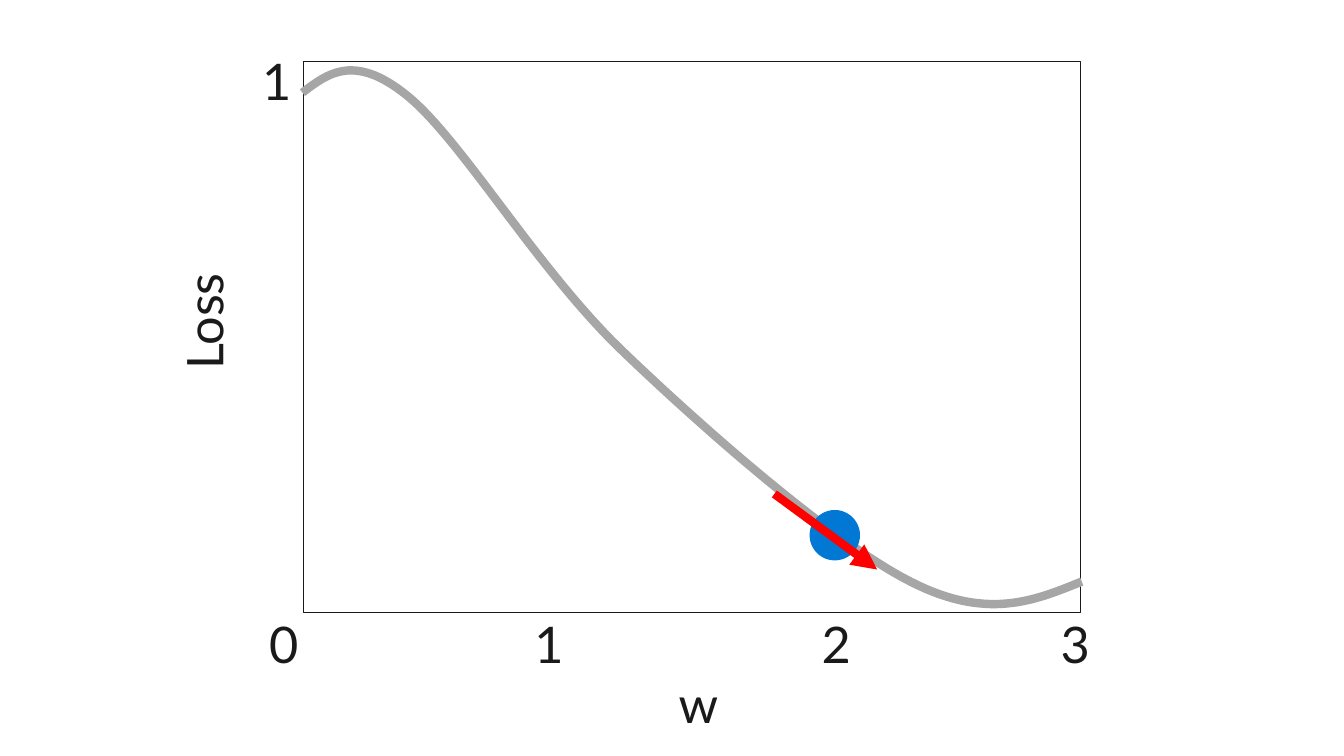
"""Draw a loss curve over one weight, with a downhill gradient step."""
from dataclasses import dataclass

from lxml import etree
from pptx import Presentation
from pptx.dml.color import RGBColor
from pptx.enum.shapes import MSO_CONNECTOR, MSO_SHAPE
from pptx.enum.text import MSO_AUTO_SIZE
from pptx.oxml.ns import qn
from pptx.shapes.autoshape import Shape
from pptx.slide import Slide
from pptx.util import Inches, Pt

RECTANGLE = MSO_SHAPE.RECTANGLE
OVAL = MSO_SHAPE.OVAL
STRAIGHT = MSO_CONNECTOR.STRAIGHT
NO_AUTOFIT = MSO_AUTO_SIZE.NONE

Point = tuple[float, float]


@dataclass(frozen=True)
class Theme:
    font: str = "Lato"
    text_size: float = 36
    frame_width: float = 0.85
    heavy_width: float = 6
    ink: RGBColor = RGBColor(0x1A, 0x1A, 0x1A)
    paper: RGBColor = RGBColor(0xFF, 0xFF, 0xFF)
    curve: RGBColor = RGBColor(0xA6, 0xA6, 0xA6)
    marker: RGBColor = RGBColor(0x00, 0x78, 0xD4)
    gradient: RGBColor = RGBColor(0xFF, 0x00, 0x00)


@dataclass(frozen=True)
class Label:
    text: str
    left: float
    top: float
    width: float = 0.27
    rotation: float = 0


@dataclass(frozen=True)
class Bezier:
    start: Point
    first_control: Point
    second_control: Point
    end: Point

    def at(self, t: float) -> Point:
        weights = ((1 - t) ** 3, 3 * t * (1 - t) ** 2, 3 * t**2 * (1 - t), t**3)
        points = (self.start, self.first_control, self.second_control, self.end)
        return (
            sum(weight * x for weight, (x, _) in zip(weights, points)),
            sum(weight * y for weight, (_, y) in zip(weights, points)),
        )


THEME = Theme()
LABEL_HEIGHT = 0.61
TICK_TOP = 6.08
STEPS_PER_BEZIER = 30
LABELS = (
    Label("1", 2.6, 0.5),
    Label("0", 2.67, TICK_TOP),
    Label("1", 5.3, TICK_TOP),
    Label("2", 8.15, TICK_TOP),
    Label("3", 10.52, TICK_TOP),
    Label("Loss", 1.54, 2.88, width=0.96, rotation=270),
    Label("w", 6.73, 6.68, width=0.39),
)
LOSS_CURVE = (
    Bezier((3, 0.92), (3.26, 0.72), (3.52, 0.53), (4.04, 0.95)),
    Bezier((4.04, 0.95), (4.57, 1.38), (5.31, 2.64), (6.14, 3.45)),
    Bezier((6.14, 3.45), (6.97, 4.25), (8.26, 5.38), (9.03, 5.77)),
    Bezier((9.03, 5.77), (9.79, 6.16), (10.26, 5.96), (10.73, 5.77)),
)


def add_filled_shape(
    slide: Slide, kind: MSO_SHAPE, box: tuple[float, ...], color: RGBColor
) -> Shape:
    shape = slide.shapes.add_shape(kind, *map(Inches, box))
    shape.shadow.inherit = False
    shape.fill.solid()
    shape.fill.fore_color.rgb = color
    return shape


def add_plot_frame(slide: Slide) -> None:
    frame = add_filled_shape(slide, RECTANGLE, (3.01, 0.61, 7.71, 5.47), THEME.paper)
    frame.line.color.rgb = THEME.ink
    frame.line.width = Pt(THEME.frame_width)


def add_loss_curve(slide: Slide) -> None:
    points = [
        tuple(map(Inches, bezier.at(step / STEPS_PER_BEZIER)))
        for bezier in LOSS_CURVE
        for step in range(1, STEPS_PER_BEZIER + 1)
    ]
    builder = slide.shapes.build_freeform(*map(Inches, LOSS_CURVE[0].start))
    builder.add_line_segments(points, close=False)
    curve = builder.convert_to_shape()
    curve.shadow.inherit = False
    curve.fill.background()
    curve.line.color.rgb = THEME.curve
    curve.line.width = Pt(THEME.heavy_width)


def add_weight_marker(slide: Slide) -> None:
    marker = add_filled_shape(slide, OVAL, (8.03, 5.06, 0.5, 0.5), THEME.marker)
    marker.line.fill.background()


def add_label(slide: Slide, label: Label) -> None:
    box = slide.shapes.add_textbox(
        Inches(label.left), Inches(label.top), Inches(label.width), Inches(LABEL_HEIGHT)
    )
    box.rotation = label.rotation
    frame = box.text_frame
    frame.word_wrap = False
    frame.auto_size = NO_AUTOFIT
    frame.margin_left = frame.margin_right = 0
    frame.margin_top = frame.margin_bottom = 0
    run = frame.paragraphs[0].add_run()
    run.text = label.text
    run.font.name = THEME.font
    run.font.size = Pt(THEME.text_size)
    run.font.color.rgb = THEME.ink


def add_gradient_arrow(slide: Slide) -> None:
    arrow = slide.shapes.add_connector(
        STRAIGHT, Inches(7.68), Inches(4.9), Inches(8.7), Inches(5.65)
    )
    arrow.line.color.rgb = THEME.gradient
    arrow.line.width = Pt(THEME.heavy_width)
    properties = arrow.element.spPr
    outline = properties.find(qn("a:ln"))
    etree.SubElement(outline, qn("a:tailEnd"), type="triangle")
    etree.SubElement(properties, qn("a:effectLst"))


def main() -> None:
    presentation = Presentation()
    presentation.slide_width = Inches(13.33)
    presentation.slide_height = Inches(7.5)
    slide = presentation.slides.add_slide(presentation.slide_layouts[6])
    add_plot_frame(slide)
    add_loss_curve(slide)
    add_weight_marker(slide)
    for label in LABELS:
        add_label(slide, label)
    add_gradient_arrow(slide)
    presentation.save("out.pptx")


if __name__ == "__main__":
    main()
